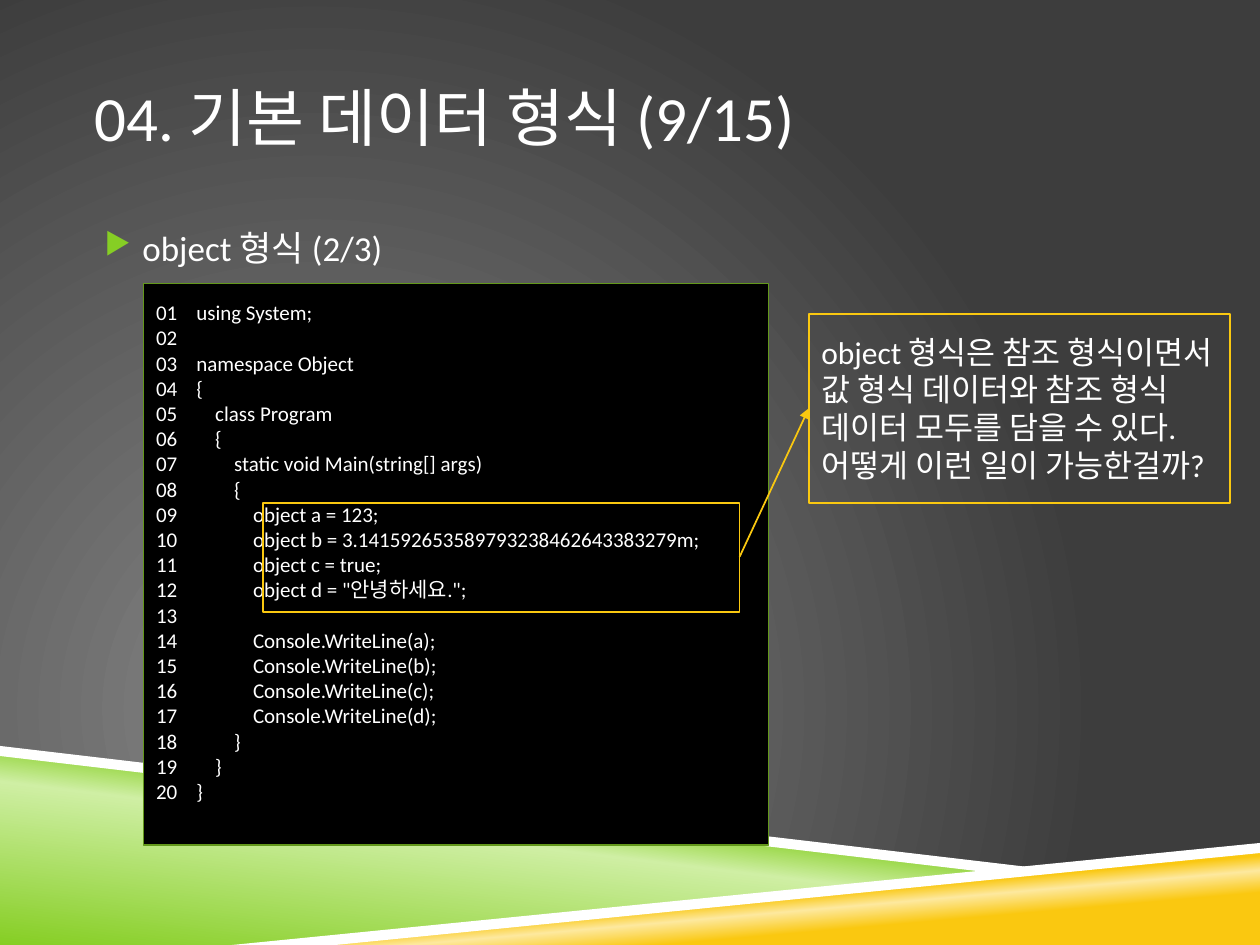
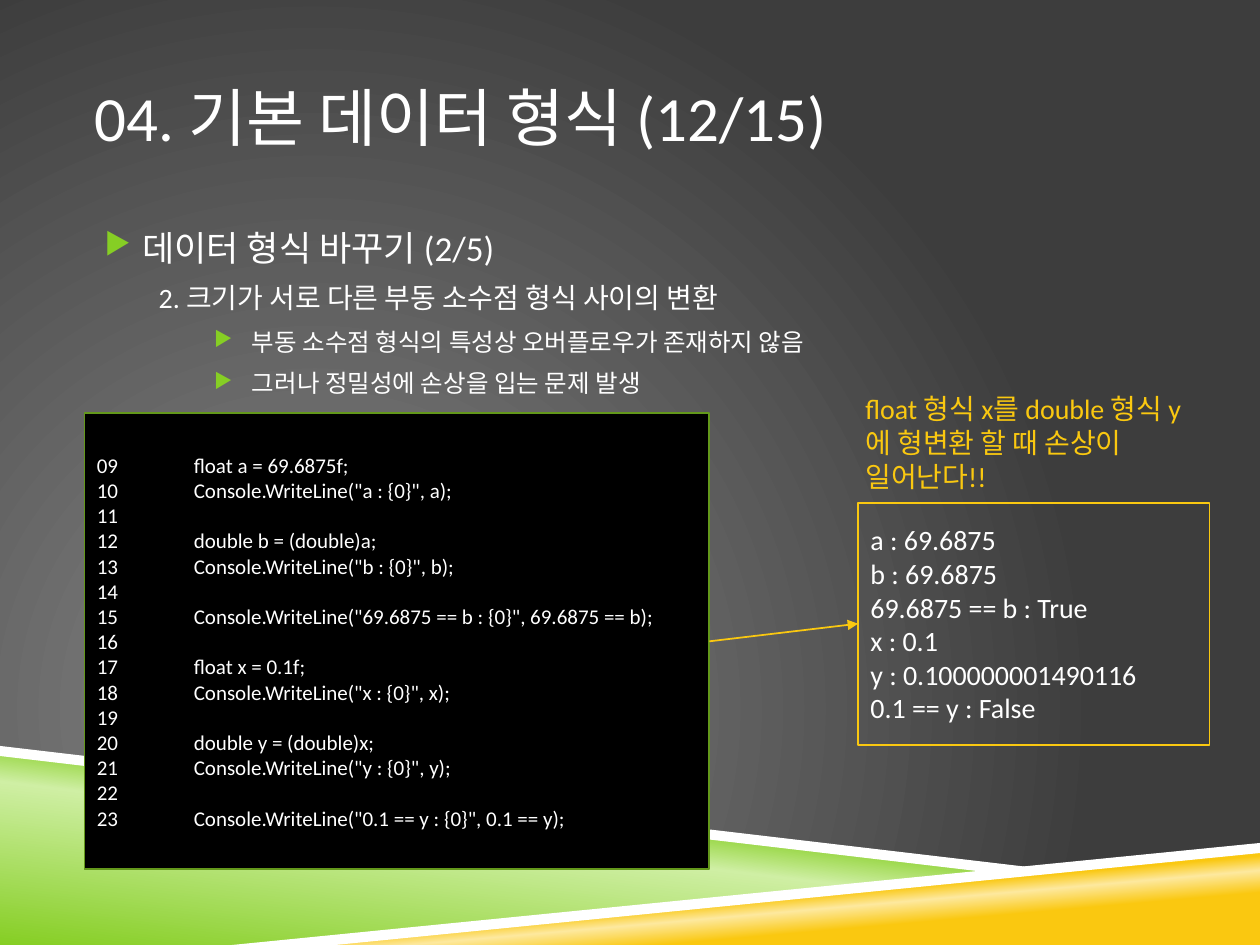
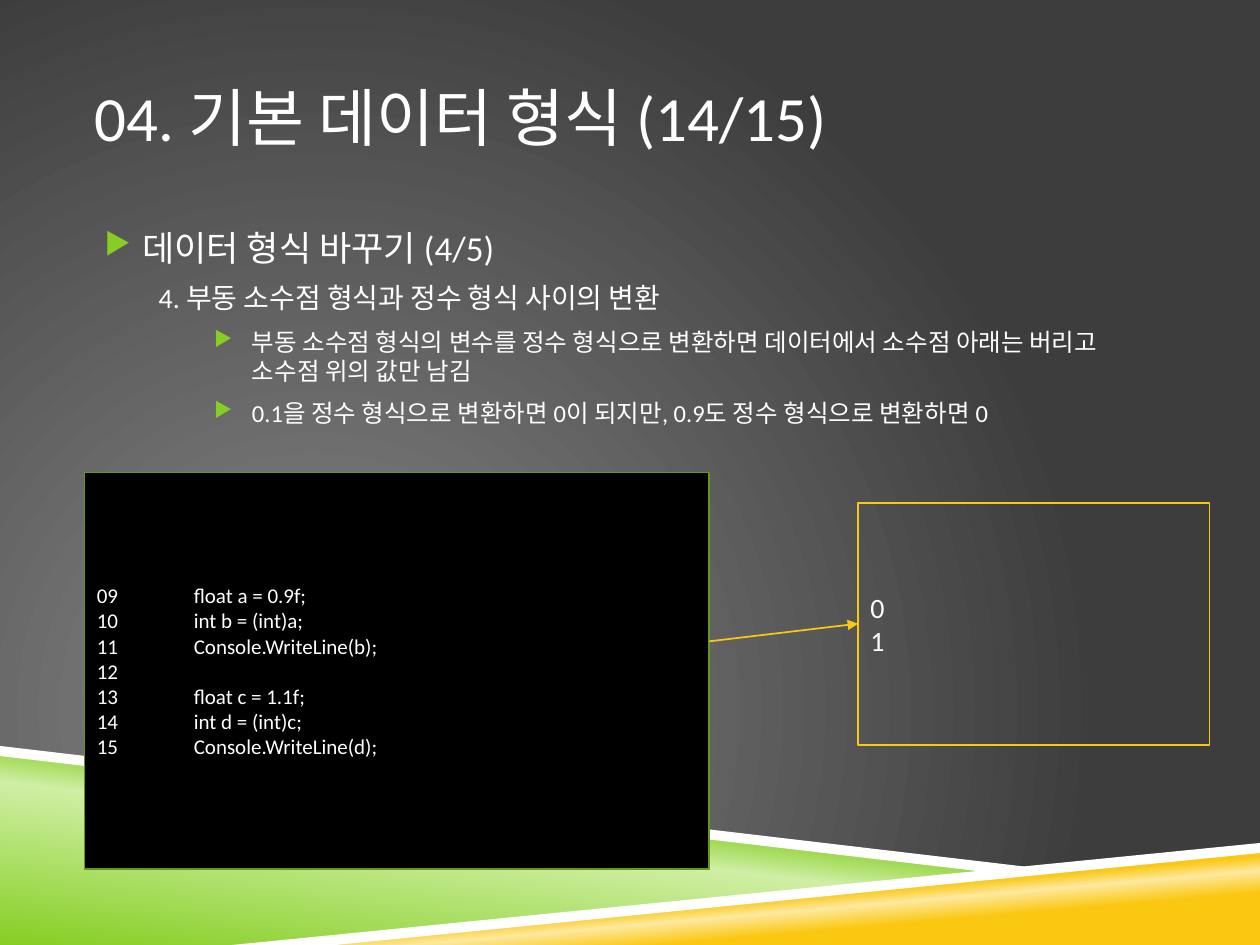
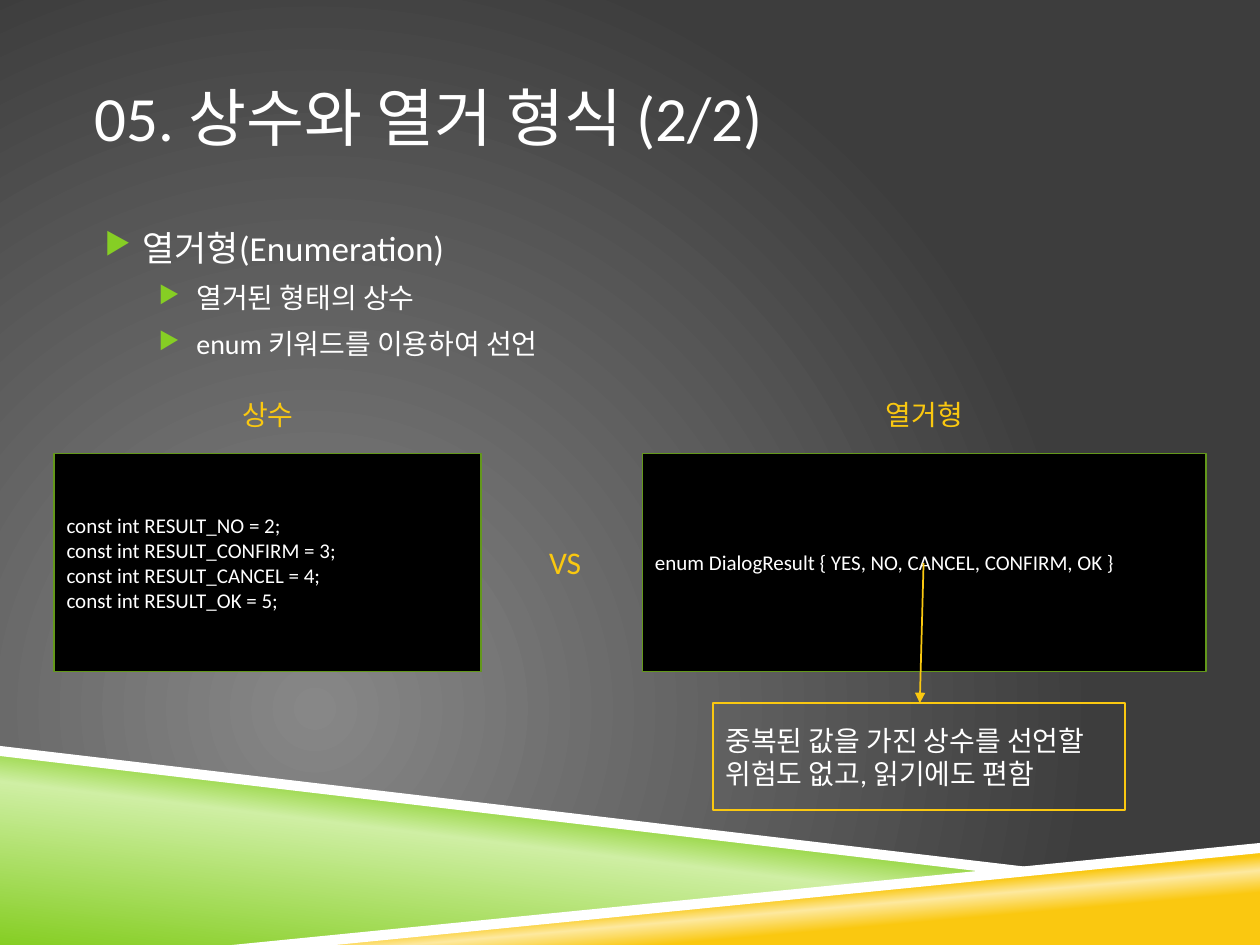
from lxml import etree
from pptx import Presentation
from pptx import util as u
from pptx.dml.color import RGBColor
from pptx.enum import shapes, text
from pptx.oxml import ns

COLORS = {"white": "FFFFFF", "black": "000000", "green": "86CE24", "pale green": "CFEFA4",
          "dark green": "63981B", "gold": "FAC810", "pale gold": "FDE99F",
          "grey": "878787", "charcoal": "3D3D3D"}
RGB = {name: RGBColor.from_string(value) for name, value in COLORS.items()}
FONT = "Calibri"

prs = Presentation()
prs.slide_width, prs.slide_height = u.Inches(10), u.Inches(7.5)
CELL = prs.slide_width // 100  # square grid: 100 columns, 75 rows


def write(frame, words, size, color="white", margin=0, hang=0, before=0, bullet=False):
    """Fill the frame's empty first paragraph, or add one, and write one run in it."""
    first = frame.paragraphs[0]
    line = frame.add_paragraph() if first.runs else first
    line.space_before = u.Pt(before)
    props = line._p.get_or_add_pPr()
    props.set("marL", str(round(margin * CELL)))
    props.set("indent", str(round(-hang * CELL)))
    if bullet:
        tint = etree.SubElement(props, ns.qn("a:buClr"))
        etree.SubElement(tint, ns.qn("a:srgbClr"), val=COLORS["green"])
        etree.SubElement(props, ns.qn("a:buSzPct"), val="85000")
        etree.SubElement(props, ns.qn("a:buChar"), char="▶")
    run = line.add_run()
    run.text = words
    run.font.size, run.font.name = u.Pt(size), FONT
    run.font.color.rgb = RGB[color]
    return line


def gradient(solid, stops, shade, **options):
    """Put a gradient in the place of a solid fill; return its shading element."""
    grad = etree.Element(ns.qn("a:gradFill"), rotWithShape="1")
    stop_list = etree.SubElement(grad, ns.qn("a:gsLst"))
    for share, color in stops:
        stop = etree.SubElement(stop_list, ns.qn("a:gs"), pos=str(share * 1000))
        etree.SubElement(stop, ns.qn("a:srgbClr"), val=COLORS[color])
    shading = etree.SubElement(grad, ns.qn(shade), **options)
    solid.getparent().replace(solid, grad)
    return shading


# Content: (kind, left, top, width, height, size, lines) in grid cells; arrows give two points
BULLETS = {"topic": (20, 3.8, 3, True), "point": (16, 8.1, 3, True),
           "numbered": (16, 5.1, 0, False), "detail": (14, 12.5, 3, True)}
RESULT = (68.1, 39.9, 27.9, 19.2)
RESULT_ARROW = ("arrow", 56.3, 50.9, 68.1, 49.5)

pages = [
    {"title": "04. 기본 데이터 형식 (9/15)",
     "bullets": [("topic", "object 형식 (2/3)")],
     "parts": [
         ("code", 11.4, 22.5, 49.6, 44.6, 12, [
             "using System;", "", "namespace Object", "{", "class Program", "{",
             "static void Main(string[] args)", "{", "object a = 123;",
             "object b = 3.141592653589793238462643383279m;", "object c = true;",
             'object d = "안녕하세요.";', "", "Console.WriteLine(a);", "Console.WriteLine(b);",
             "Console.WriteLine(c);", "Console.WriteLine(d);", "}", "}", "}"]),
         ("note", 20.9, 39.9, 37.8, 8.7, 12, []),
         ("arrow", 58.7, 44.2, 64.2, 32.4),
         ("note", 64.2, 24.9, 33.4, 15, 18, [
             "object 형식은 참조 형식이면서 값 형식 데이터와 참조 형식 데이터 모두를 담을 수 있다. "
             "어떻게 이런 일이 가능한걸까?"])],
     "first line": 1, "depth": 0, "code bottom": 2.5},
    {"title": "04. 기본 데이터 형식 (12/15)",
     "bullets": [("topic", "데이터 형식 바꾸기 (2/5)"),
                 ("numbered", "2. 크기가 서로 다른 부동 소수점 형식 사이의 변환"),
                 ("detail", "부동 소수점 형식의 특성상 오버플로우가 존재하지 않음"),
                 ("detail", "그러나 정밀성에 손상을 입는 문제 발생")],
     "parts": [
         ("code", 6.7, 32.8, 49.6, 36.2, 12, [
             "float a = 69.6875f;", 'Console.WriteLine("a : {0}", a);', "",
             "double b = (double)a;", 'Console.WriteLine("b : {0}", b);', "",
             'Console.WriteLine("69.6875 == b : {0}", 69.6875 == b);', "",
             "float x = 0.1f;", 'Console.WriteLine("x : {0}", x);', "",
             "double y = (double)x;", 'Console.WriteLine("y : {0}", y);', "",
             'Console.WriteLine("0.1 == y : {0}", 0.1 == y);']),
         ("note", *RESULT, 16, [
             "a : 69.6875", "b : 69.6875", "69.6875 == b : True",
             "x : 0.1", "y : 0.100000001490116", "0.1 == y : False"]),
         RESULT_ARROW,
         ("remark", 67.7, 32.7, 27.9, 4.8, 16,
          ["float 형식 x를 double 형식 y에 형변환 할 때 손상이 일어난다!!"])],
     "first line": 9, "depth": 3},
    {"title": "04. 기본 데이터 형식 (14/15)",
     "bullets": [("topic", "데이터 형식 바꾸기 (4/5)"),
                 ("numbered", "4. 부동 소수점 형식과 정수 형식 사이의 변환"),
                 ("detail", "부동 소수점 형식의 변수를 정수 형식으로 변환하면 데이터에서 "
                            "소수점 아래는 버리고 소수점 위의 값만 남김"),
                 ("detail", "0.1을 정수 형식으로 변환하면 0이 되지만, 0.9도 정수 형식으로 변환하면 0")],
     "parts": [
         ("code", 6.7, 37.5, 49.6, 31.5, 12, [
             "float a = 0.9f;", "int b = (int)a;", "Console.WriteLine(b);", "",
             "float c = 1.1f;", "int d = (int)c;", "Console.WriteLine(d);"]),
         ("note", *RESULT, 16, ["0", "1"]),
         RESULT_ARROW],
     "first line": 9, "depth": 3},
    {"title": "05. 상수와 열거 형식 (2/2)",
     "bullets": [("topic", "열거형(Enumeration)"), ("point", "열거된 형태의 상수"),
                 ("point", "enum 키워드를 이용하여 선언")],
     "parts": [
         ("code", 4.3, 36, 33.9, 17.3, 12, [
             "const int RESULT_NO = 2;", "const int RESULT_CONFIRM = 3;",
             "const int RESULT_CANCEL = 4;", "const int RESULT_OK = 5;"]),
         ("code", 51, 36, 44.7, 17.3, 12,
          ["enum DialogResult { YES, NO, CANCEL, CONFIRM, OK }"]),
         ("label", 41.3, 42.6, 7.1, 4, 18, ["VS"]),
         ("label", 7.3, 30.5, 27.9, 4.8, 16, ["상수"]),
         ("label", 59.4, 30.5, 27.9, 4.8, 16, ["열거형"]),
         ("note", 56.6, 55.8, 32.7, 8.5, 16,
          ["중복된 값을 가진 상수를 선언할 위험도 없고, 읽기에도 편함"]),
         ("arrow", 73.3, 44.7, 73, 55.8)]},
]

# Shared background: a glow from the lower left
master = prs.slide_master
master.background.fill.solid()
glow = gradient(master.element.cSld.find(".//" + ns.qn("a:solidFill")),
                [(0, "grey"), (100, "charcoal")], "a:path", path="circle")
etree.SubElement(glow, ns.qn("a:fillToRect"), l="50000", t="100000", r="100000", b="50000")

slides = [prs.slides.add_slide(prs.slide_layouts[6]) for page in pages]

# Shared bands at the foot, kept on the master behind everything else
bands = [
    ([(0, 59.7), (79.2, 69.2), (20, 75), (0, 75)],
     [(0, "green"), (52, "pale green"), (66, "green")], 277),
    ([(19.8, 75), (100, 67.2), (100, 75)],
     [(28, "gold"), (40, "pale gold"), (48, "gold")], 265),
    ([(0, 59.2), (0, 60), (79, 69.3), (83.2, 69)], None, 0),
    ([(100, 66.9), (18.4, 75), (26.6, 75), (100, 67.7)], None, 0),
]
for place, (corners, stops, angle) in enumerate(bands):
    points = [(x * CELL, y * CELL) for x, y in corners]
    outline = slides[0].shapes.build_freeform(*points[0], scale=1.0)
    outline.add_line_segments(points[1:], close=True)
    band = outline.convert_to_shape()
    band.shadow.inherit = False
    band.line.fill.background()
    band.fill.solid()
    band.fill.fore_color.rgb = RGB["white"]
    if stops:
        gradient(band.element.spPr.find(ns.qn("a:solidFill")), stops, "a:lin",
                 ang=str(angle * 60000), scaled="0")
    band.element.nvSpPr.cNvPr.set("id", str(101 + place))
    master.shapes.element.insert(2 + place, band.element)

for slide, page in zip(slides, pages):
    # Title and bullets
    for top, height, anchor in [(3, 12.5, text.MSO_ANCHOR.MIDDLE),
                                (17.5, 40.8, text.MSO_ANCHOR.TOP)]:
        area = slide.shapes.add_textbox(*[round(n * CELL) for n in (7.5, top, 85, height)])
        frame = area.text_frame
        frame.word_wrap, frame.vertical_anchor = True, anchor
        frame.margin_left = frame.margin_right = 0
        if top == 3:
            write(frame, page["title"], 36)
            continue
        for level, words in page["bullets"]:
            size, margin, hang, marked = BULLETS[level]
            write(frame, words, size, margin=margin, hang=hang, before=7, bullet=marked)

    for kind, *numbers in page["parts"]:
        spot = [round(n * CELL) for n in numbers[:4]]

        # Arrows
        if kind == "arrow":
            arrow = slide.shapes.add_connector(shapes.MSO_CONNECTOR.STRAIGHT, *spot)
            arrow.line.color.rgb, arrow.line.width = RGB["gold"], u.Pt(1)
            props = arrow.element.spPr
            etree.SubElement(props.find(ns.qn("a:ln")), ns.qn("a:tailEnd"), type="triangle")
            etree.SubElement(props, ns.qn("a:effectLst"))
            continue

        # Code panels, framed notes and plain labels
        size, lines = numbers[4:]
        boxed = kind in ("code", "note")
        if boxed:
            panel = slide.shapes.add_shape(shapes.MSO_SHAPE.RECTANGLE, *spot)
            panel.shadow.inherit = False
            panel.line.color.rgb = RGB["dark green" if kind == "code" else "gold"]
            panel.line.width = u.Pt(1)
            if kind == "code":
                panel.fill.solid()
                panel.fill.fore_color.rgb = RGB["black"]
            else:
                panel.fill.background()
        else:
            panel = slide.shapes.add_textbox(*spot)
        frame = panel.text_frame
        frame.word_wrap, frame.vertical_anchor = True, text.MSO_ANCHOR.MIDDLE
        if kind == "code":
            frame.margin_bottom = round(page.get("code bottom", 0.5) * CELL)
        depth = page.get("depth", 0)
        for number, words in enumerate(lines, page.get("first line", 0)):
            margin = 0
            if kind == "code" and "first line" in page:
                # Braces set the depth of numbered code
                depth -= words == "}"
                margin = 3.2 + 1.5 * depth
                depth += words == "{"
                words = f"{number:02}\t{words}" if words else f"{number:02}"
            line = write(frame, words, size, "white" if boxed else "gold", margin, margin)
            centred = kind == "label"
            line.alignment = text.PP_ALIGN.CENTER if centred else text.PP_ALIGN.LEFT

prs.save("out.pptx")
